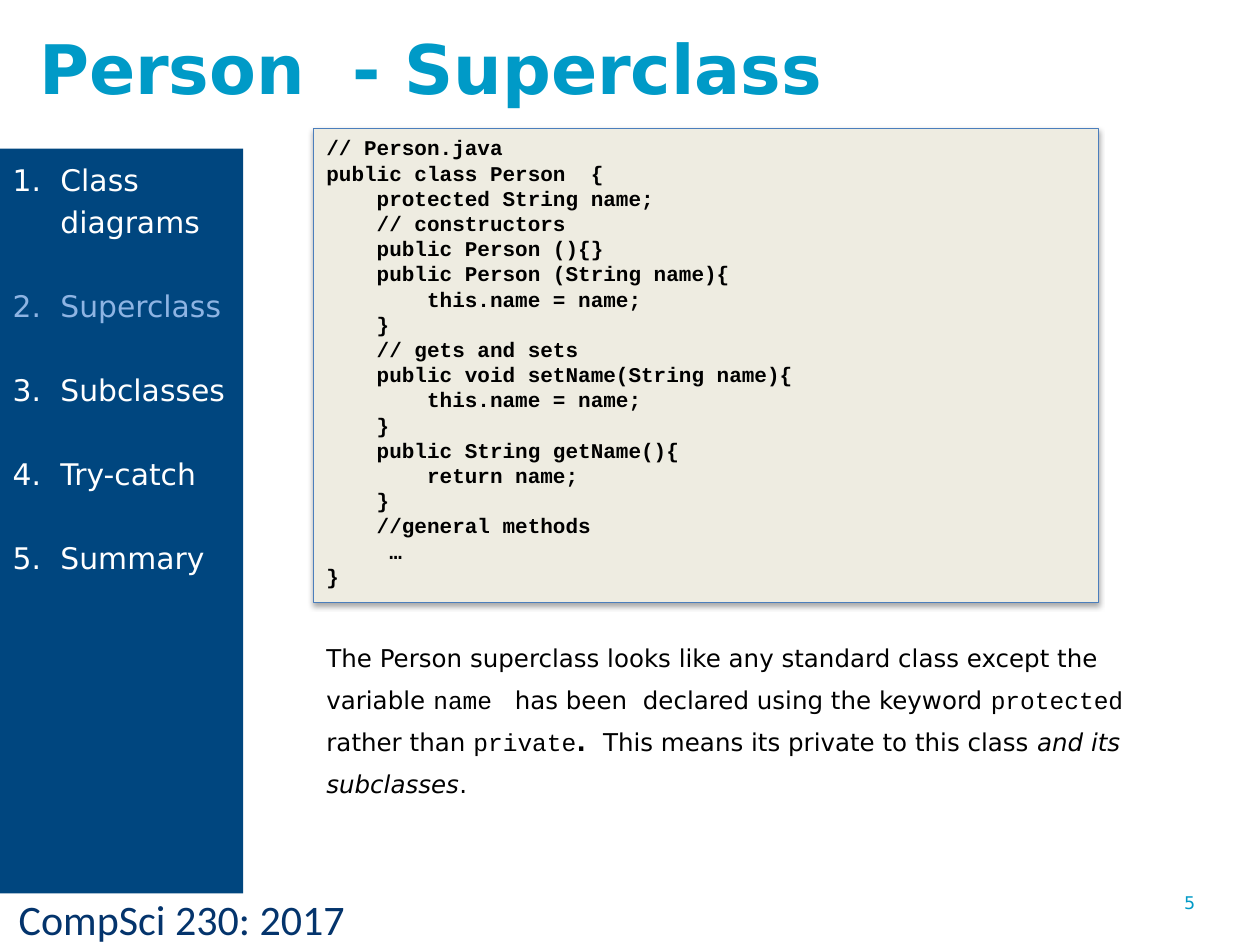
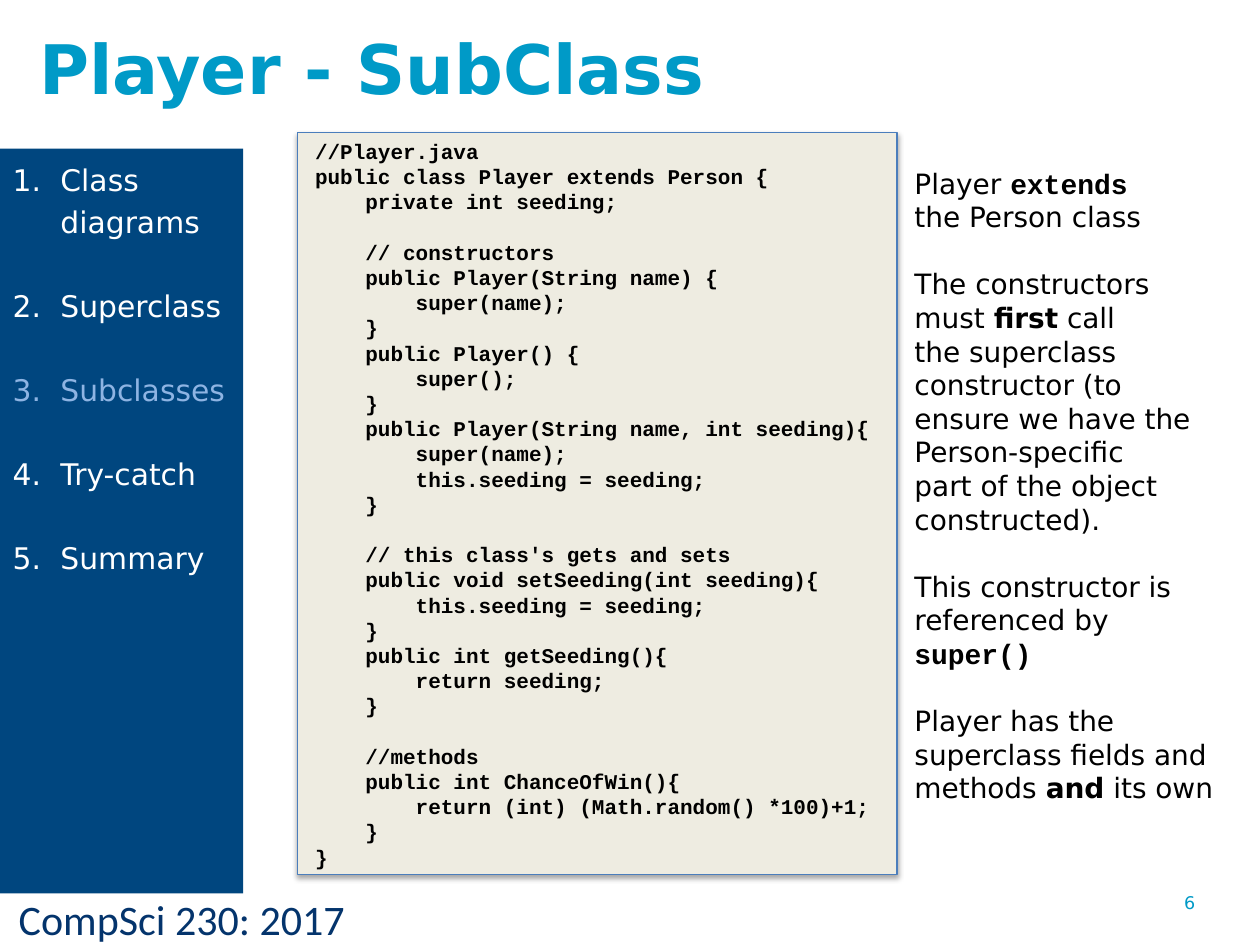
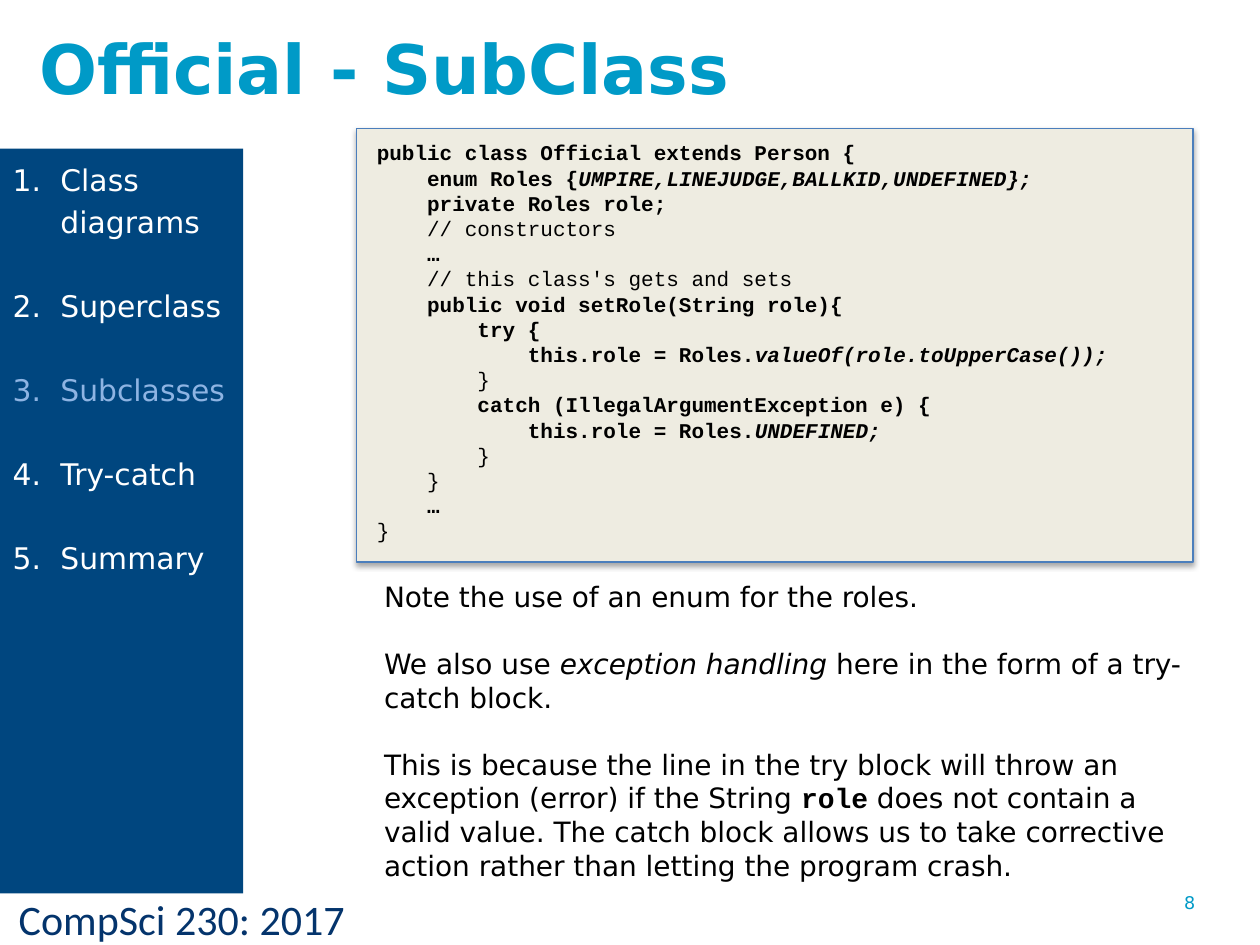
from dataclasses import dataclass, replace
from typing import Any, NamedTuple

import lxml.etree
import pptx
import pptx.dml.color
import pptx.enum.shapes
import pptx.enum.text
import pptx.oxml.ns
import pptx.util

Inches = pptx.util.Inches
Pt = pptx.util.Pt
Color = pptx.dml.color.RGBColor.from_string
qn = pptx.oxml.ns.qn
Anchor = pptx.enum.text.MSO_ANCHOR


class Style(NamedTuple):
    font: str
    size: float
    color: str
    bold: bool = False
    leading: float = 0

    @property
    def pitch(self) -> float:
        return self.leading or round(self.size * 1.2, 1)


class Frame(NamedTuple):
    left: float
    top: float
    width: float
    height: float


class Span(NamedTuple):
    text: str
    bold: bool | None = None
    italic: bool = False
    font: str | None = None


@dataclass(frozen=True)
class Theme:
    sans: str = "DejaVu Sans"
    mono: str = "Courier New"
    band: str = "00467F"
    current: str = "8EB4E3"
    panel: str = "EEECE1"
    panel_line: str = "4B7EBC"
    title: Style = Style("DejaVu Sans", 39, "009AC7", True)
    number: Style = Style("DejaVu Sans", 10, "009AC7")
    footer: Style = Style("Calibri", 24, "04346C")
    topic: Style = Style("DejaVu Sans", 17, "FFFFFF", leading=24)
    code: Style = Style("Courier New", 12, "000000", True)
    note: Style = Style("DejaVu Sans", 16, "000000")
    caption: Style = Style("DejaVu Sans", 14, "000000", leading=24)


@dataclass(frozen=True)
class Para:
    spans: tuple[Span, ...]
    style: Style
    gap: bool = False
    numbered: bool = False


@dataclass(frozen=True)
class Lesson:
    title: str
    number: int
    topic: str
    panel: Frame
    code_frame: Frame
    code: list[Para]
    note_frame: Frame | None = None
    notes: tuple[Para, ...] = ()


THEME = Theme()
TITLE_FRAME = Frame(0.21, 0.14, 7.13, 0.78)
BAND_FRAME = Frame(0, 1.18, 1.93, 5.91)
FOOTER_FRAME = Frame(0.05, 7.04, 4.05, 0.5)
NUMBER_FRAME = Frame(9.3, 7.03, 0.7, 0.52)
TOPICS = ("Class diagrams", "Superclass", "Subclasses", "Try-catch", "Summary")


def assign(target: Any, values: dict[str, Any]) -> None:
    for name, value in values.items():
        setattr(target, name, value)


def mono(text: str, bold: bool = False) -> Span:
    return Span(text, bold, font=THEME.mono)


def code_lines(*lines: str | tuple[Span, ...]) -> list[Para]:
    paras: list[Para] = []
    gap = False
    for line in lines:
        if line:
            spans = (Span(line),) if isinstance(line, str) else line
            paras.append(Para(spans, THEME.code, gap))
        gap = not line
    return paras


def code_text(text: str) -> list[Para]:
    return code_lines(*text.strip("\n").split("\n"))


def notes(*paragraphs: tuple[Span, ...]) -> tuple[Para, ...]:
    return tuple(Para(spans, THEME.note, index > 0)
                 for index, spans in enumerate(paragraphs))


def place(shape: Any, frame: Frame) -> None:
    assign(shape, {name: Inches(value) for name, value in frame._asdict().items()})


def write_span(paragraph: Any, span: Span, style: Style) -> None:
    for index, line in enumerate(span.text.split("\n")):
        if index:
            paragraph.add_line_break()
        if not line:
            continue
        run = paragraph.add_run()
        run.text = line
        assign(run.font, {
            "name": span.font or style.font,
            "size": Pt(style.size),
            "bold": style.bold if span.bold is None else span.bold,
            "italic": span.italic,
        })
        run.font.color.rgb = Color(style.color)


def write(shape: Any, paras: list[Para] | tuple[Para, ...],
          anchor: Any = Anchor.TOP) -> None:
    frame = shape.text_frame
    assign(frame, {
        "word_wrap": True,
        "auto_size": pptx.enum.text.MSO_AUTO_SIZE.NONE,
        "vertical_anchor": anchor,
    })
    for index, para in enumerate(paras):
        paragraph = frame.add_paragraph() if index else frame.paragraphs[0]
        pitch = Pt(para.style.pitch)
        assign(paragraph, {
            "alignment": pptx.enum.text.PP_ALIGN.LEFT,
            "line_spacing": pitch,
            "space_before": pitch if para.gap else Pt(0),
        })
        indent = Inches(0.38) if para.numbered else 0
        properties = paragraph._p.get_or_add_pPr()
        properties.set("marL", str(indent))
        properties.set("indent", str(-indent))
        if para.numbered:
            lxml.etree.SubElement(properties, qn("a:buAutoNum"), type="arabicPeriod")
        else:
            lxml.etree.SubElement(properties, qn("a:buNone"))
        for span in para.spans:
            write_span(paragraph, span, para.style)


def add_text(page: Any, frame: Frame, paras: tuple[Para, ...]) -> None:
    box = page.shapes.add_textbox(*map(Inches, frame))
    write(box, paras)


def add_panel(page: Any, frame: Frame) -> None:
    panel = page.shapes.add_shape(
        pptx.enum.shapes.MSO_SHAPE.RECTANGLE, *map(Inches, frame))
    panel.fill.solid()
    panel.fill.fore_color.rgb = Color(THEME.panel)
    panel.line.color.rgb = Color(THEME.panel_line)
    panel.line.width = Pt(0.75)
    panel.shadow.inherit = False
    effects = panel._element.spPr.find(qn("a:effectLst"))
    shadow = lxml.etree.SubElement(
        effects, qn("a:outerShdw"), blurRad=str(Pt(3.1)), dist=str(Pt(1.8)),
        dir="5400000", rotWithShape="0")
    tint = lxml.etree.SubElement(shadow, qn("a:srgbClr"), val="000000")
    lxml.etree.SubElement(tint, qn("a:alpha"), val="35000")
    page.shapes._spTree.insert(2, panel._element)


def topic_paras(current: str) -> list[Para]:
    return [
        Para((Span(topic),),
             THEME.topic._replace(color=THEME.current) if topic == current else THEME.topic,
             gap=index > 0, numbered=True)
        for index, topic in enumerate(TOPICS)
    ]


def add_lesson(deck: Any, lesson: Lesson) -> None:
    page = deck.slides.add_slide(deck.slide_layouts[3])
    title, code, band = page.placeholders
    place(title, TITLE_FRAME)
    write(title, [Para((Span(lesson.title),), THEME.title)], Anchor.MIDDLE)
    place(code, lesson.code_frame)
    write(code, lesson.code)
    place(band, BAND_FRAME)
    band.fill.solid()
    band.fill.fore_color.rgb = Color(THEME.band)
    write(band, topic_paras(lesson.topic))
    add_panel(page, lesson.panel)
    add_text(page, FOOTER_FRAME, (Para((Span("CompSci 230: 2017"),), THEME.footer),))
    add_text(page, NUMBER_FRAME, (Para((Span(str(lesson.number)),), THEME.number),))
    if lesson.note_frame:
        add_text(page, lesson.note_frame, lesson.notes)


PERSON_CODE = """
// Person.java
public class Person  {
    protected String name;
    // constructors
    public Person (){}
    public Person (String name){
        this.name = name;
    }
    // gets and sets
    public void setName(String name){
        this.name = name;
    }
    public String getName(){
        return name;
    }
    //general methods
     …
}
"""

PLAYER_CODE = """
//Player.java
public class Player extends Person {
    private int seeding;

    // constructors
    public Player(String name) {
        super(name);
    }
    public Player() {
        super();
    }
    public Player(String name, int seeding){
        super(name);
        this.seeding = seeding;
    }

    // this class's gets and sets
    public void setSeeding(int seeding){
        this.seeding = seeding;
    }
    public int getSeeding(){
        return seeding;
    }

    //methods
    public int ChanceOfWin(){
        return (int) (Math.random() *100)+1;
    }
}
"""

OFFICIAL_CODE = code_lines(
    "public class Official extends Person {",
    (Span("    enum Roles {"),
     Span("UMPIRE,LINEJUDGE,BALLKID,UNDEFINED};", italic=True)),
    "    private Roles role;",
    (Span("    // constructors", False),),
    "    …",
    (Span("    // this class's gets and sets", False),),
    "    public void setRole(String role){",
    "        try {",
    (Span("            this.role = Roles."),
     Span("valueOf(role.toUpperCase());", italic=True)),
    (Span("        }", False),),
    "        catch (IllegalArgumentException e) {",
    (Span("            this.role = Roles."), Span("UNDEFINED;", italic=True)),
    (Span("        }", False),),
    (Span("    }", False),),
    "    …",
    (Span("}", False),),
)

PERSON_CAPTION = Para((
    Span("The Person superclass looks like any standard class except the variable "),
    mono("name "),
    Span(" has been  declared using the keyword "),
    mono("protected "),
    Span("rather than "),
    mono("private"),
    Span(".  ", True),
    Span("This means its private to this class "),
    Span("and its subclasses", italic=True),
    Span("."),
), THEME.caption, gap=True)

PLAYER_NOTES = notes(
    (Span("Player "), mono("extends", True), Span("\nthe Person class")),
    (Span("The constructors\nmust "), Span("first", True),
     Span(" call\nthe superclass\nconstructor (to\nensure we have the\n"
          "Person-specific\npart of the object\nconstructed).")),
    (Span("This constructor is\nreferenced by\n"), mono("super()", True)),
    (Span("Player has the\nsuperclass fields and\nmethods "),
     Span("and", True), Span(" its own")),
)

OFFICIAL_NOTES = notes(
    (Span("Note the use of an enum for the roles."),),
    (Span("We also use "), Span("exception handling", italic=True),
     Span(" here in the form of a try-catch block.")),
    (Span("This is because the line in the try block will throw an exception "
          "(error) if the String "),
     mono("role", True),
     Span(" does not contain a valid value. The catch block allows us to take "
          "corrective action rather than letting the program crash.")),
)

LESSONS = (
    Lesson("Person  - Superclass", 5, "Superclass",
           Frame(2.49, 1.02, 6.23, 3.76), Frame(2.49, 1.02, 7.11, 5.8),
           code_text(PERSON_CODE) + [PERSON_CAPTION]),
    Lesson("Player - SubClass", 6, "Subclasses",
           Frame(2.36, 1.05, 4.76, 5.89), Frame(2.4, 1.05, 4.94, 5.8),
           code_text(PLAYER_CODE), Frame(7.16, 1.27, 2.63, 5.35), PLAYER_NOTES),
    Lesson("Official - SubClass", 8, "Subclasses",
           Frame(2.83, 1.02, 6.64, 3.44), Frame(2.89, 1.06, 6.58, 3.35),
           OFFICIAL_CODE, Frame(2.95, 4.55, 6.54, 2.83), OFFICIAL_NOTES),
)


def main() -> None:
    deck = pptx.Presentation()
    assign(deck, {"slide_width": Inches(10), "slide_height": Inches(7.5)})
    for lesson in LESSONS:
        add_lesson(deck, lesson)
    deck.save("out.pptx")


if __name__ == "__main__":
    main()
